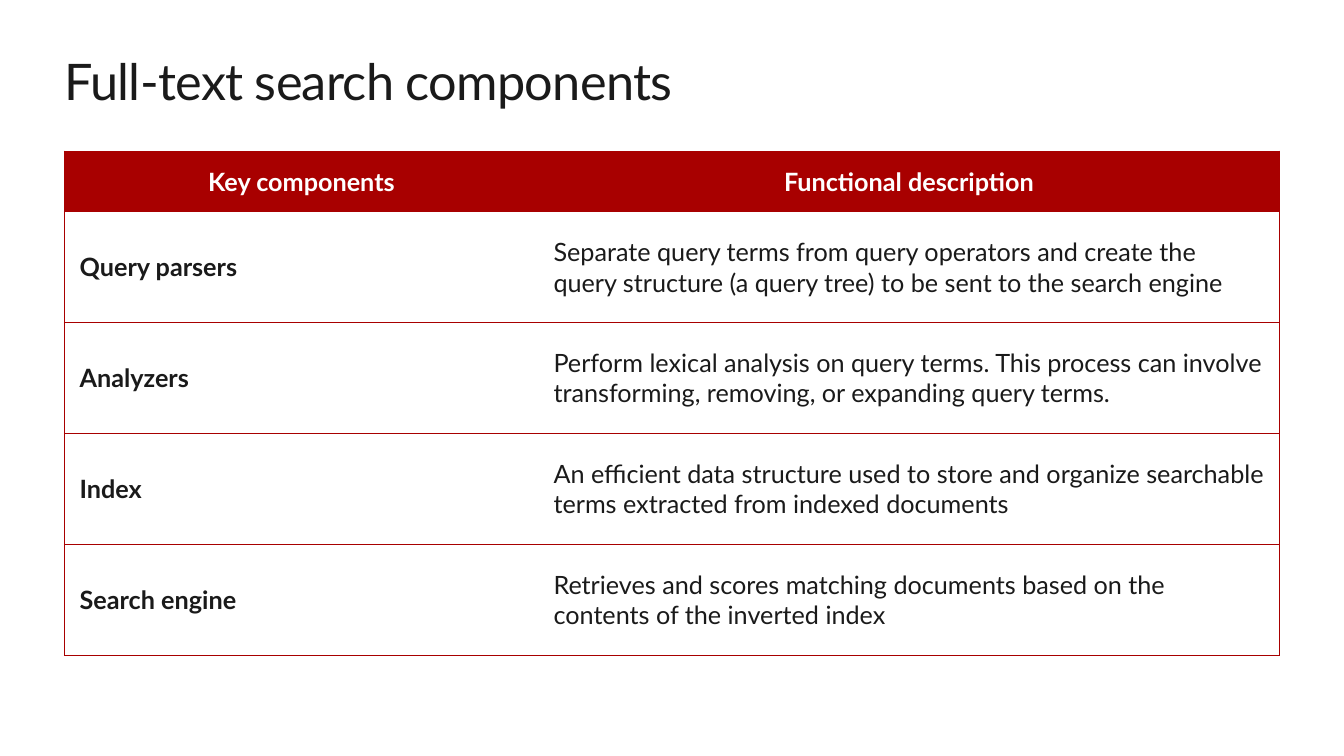
from dataclasses import dataclass

from lxml import etree
from pptx import Presentation
from pptx.dml.color import RGBColor
from pptx.enum.text import MSO_ANCHOR, PP_ALIGN
from pptx.oxml.ns import qn
from pptx.slide import Slide
from pptx.table import _Cell
from pptx.text.text import TextFrame
from pptx.util import Inches, Pt

RED = RGBColor(0xA8, 0x00, 0x00)
INK = RGBColor(0x1A, 0x1A, 0x1A)
WHITE = RGBColor(0xFF, 0xFF, 0xFF)
MIDDLE = MSO_ANCHOR.MIDDLE
LEFT, CENTER = PP_ALIGN.LEFT, PP_ALIGN.CENTER

FONT = "Lato"
PLAIN_TABLE_STYLE = "{2D5ABB26-0587-4C30-8999-92F81FD0307C}"
MARGIN_LEFT = 0.64
COLUMN_WIDTHS = (4.7, 7.35)
HEADER_HEIGHT, ROW_HEIGHT = 0.6, 1.1
CELL_PADDING = Inches(0.15)
BORDER_WIDTH = Pt(1)


@dataclass(frozen=True)
class Component:
    name: str
    description: str


HEADINGS = Component("Key components", "Functional description")
COMPONENTS = (
    Component("Query parsers",
              "Separate query terms from query operators and create the "
              "query structure (a query tree) to be sent to the search engine"),
    Component("Analyzers",
              "Perform lexical analysis on query terms. This process can involve "
              "transforming, removing, or expanding query terms."),
    Component("Index",
              "An efficient data structure used to store and organize searchable "
              "terms extracted from indexed documents"),
    Component("Search engine",
              "Retrieves and scores matching documents based on the "
              "contents of the inverted index"),
)


def write_text(frame: TextFrame, text: str, *, size: float = 18,
               color: RGBColor = INK, bold: bool = False,
               align: PP_ALIGN = LEFT, spacing: float = 0) -> None:
    frame.word_wrap = True
    paragraph = frame.paragraphs[0]
    paragraph.alignment = align
    run = paragraph.add_run()
    run.text = text
    run.font.name = FONT
    run.font.size = Pt(size)
    run.font.bold = bold
    run.font.color.rgb = color
    if spacing:
        run.font._element.set("spc", str(round(spacing * 100)))


def add_borders(cell: _Cell, sides: str) -> None:
    """Draw the given sides, named by L, R, T and B in that order."""
    properties = cell._tc.get_or_add_tcPr()
    for side in sides:
        line = etree.SubElement(properties, qn(f"a:ln{side}"), w=str(BORDER_WIDTH))
        fill = etree.SubElement(line, qn("a:solidFill"))
        etree.SubElement(fill, qn("a:srgbClr"), val=str(RED))


def add_title(slide: Slide, text: str) -> None:
    title = slide.shapes.add_textbox(Inches(MARGIN_LEFT), Inches(0.5),
                                     Inches(sum(COLUMN_WIDTHS)), Inches(0.61))
    frame = title.text_frame
    frame.margin_left = frame.margin_right = 0
    frame.margin_top = frame.margin_bottom = 0
    write_text(frame, text, size=36, spacing=-0.5)


def add_component_table(slide: Slide) -> None:
    entries = (HEADINGS, *COMPONENTS)
    heights = [HEADER_HEIGHT] + [ROW_HEIGHT] * len(COMPONENTS)
    graphic = slide.shapes.add_table(
        len(entries), len(COLUMN_WIDTHS), Inches(MARGIN_LEFT), Inches(1.5),
        Inches(sum(COLUMN_WIDTHS)), Inches(sum(heights)))
    table = graphic.table
    table.first_row = table.horz_banding = False
    table._tbl.tblPr.find(qn("a:tableStyleId")).text = PLAIN_TABLE_STYLE
    for column, width in zip(table.columns, COLUMN_WIDTHS):
        column.width = Inches(width)

    for row_index, (entry, height) in enumerate(zip(entries, heights)):
        table.rows[row_index].height = Inches(height)
        is_header = row_index == 0
        for column_index, text in enumerate((entry.name, entry.description)):
            cell = table.cell(row_index, column_index)
            cell.vertical_anchor = MIDDLE
            cell.margin_left = cell.margin_right = CELL_PADDING
            cell.margin_top = cell.margin_bottom = CELL_PADDING
            add_borders(cell, "LTB" if column_index == 0 else "RTB")
            cell.fill.solid()
            cell.fill.fore_color.rgb = RED if is_header else WHITE
            write_text(cell.text_frame, text,
                       color=WHITE if is_header else INK,
                       bold=is_header or column_index == 0,
                       align=CENTER if is_header else LEFT)


def main() -> None:
    presentation = Presentation()
    presentation.slide_width = Inches(13.33)
    presentation.slide_height = Inches(7.5)
    slide = presentation.slides.add_slide(presentation.slide_layouts[6])
    add_title(slide, "Full-text search components")
    add_component_table(slide)
    presentation.save("out.pptx")


if __name__ == "__main__":
    main()
